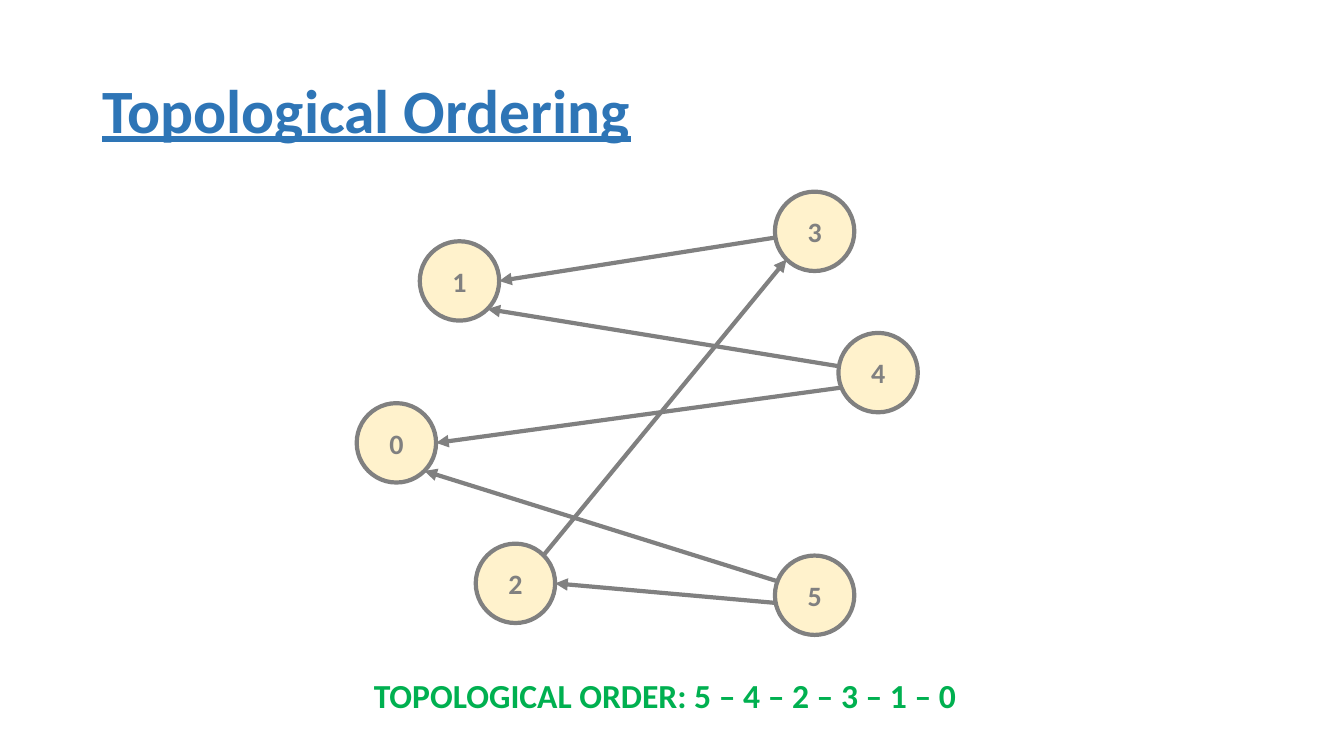
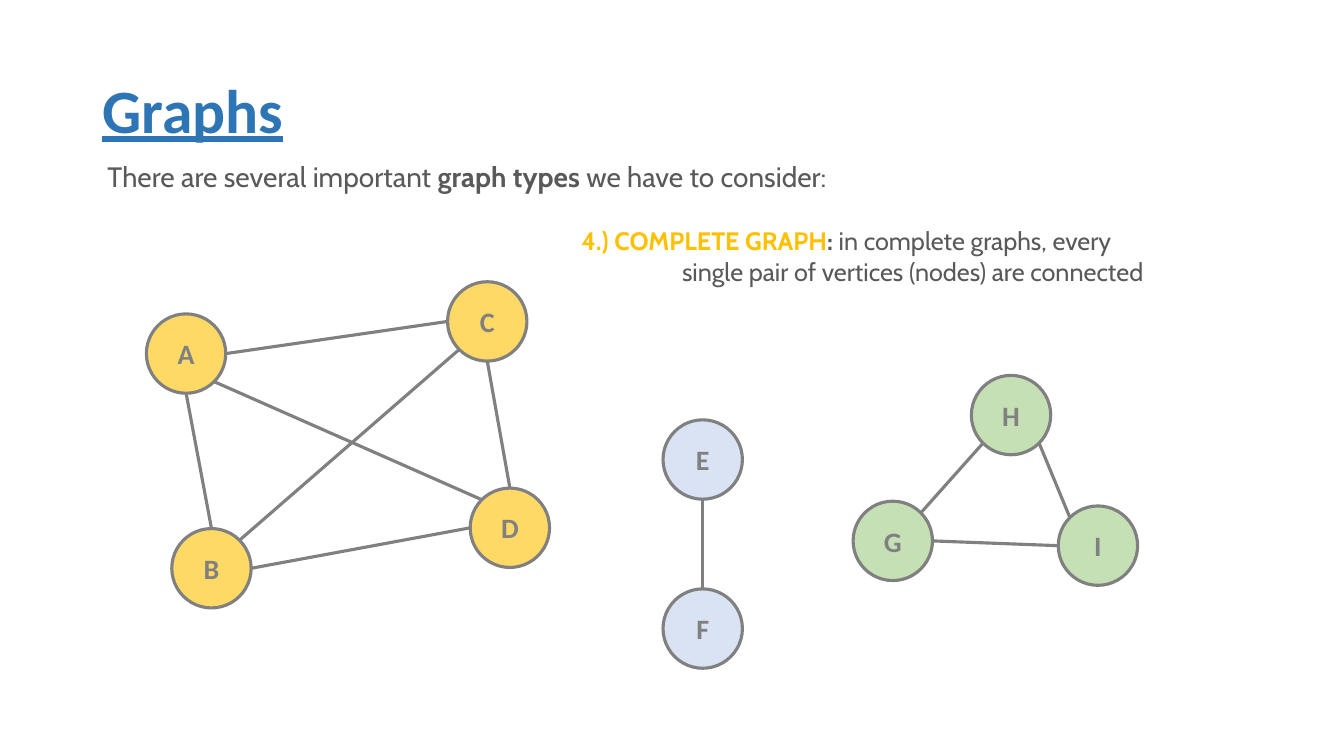
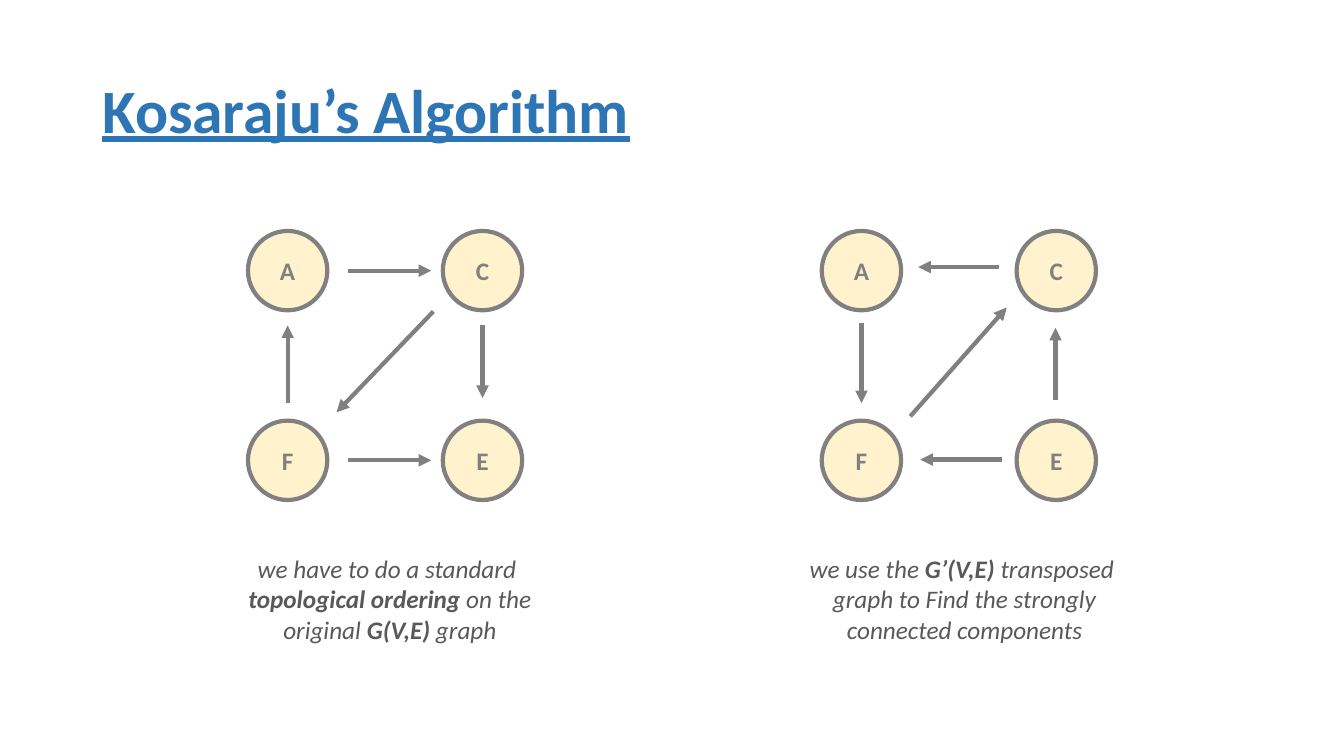
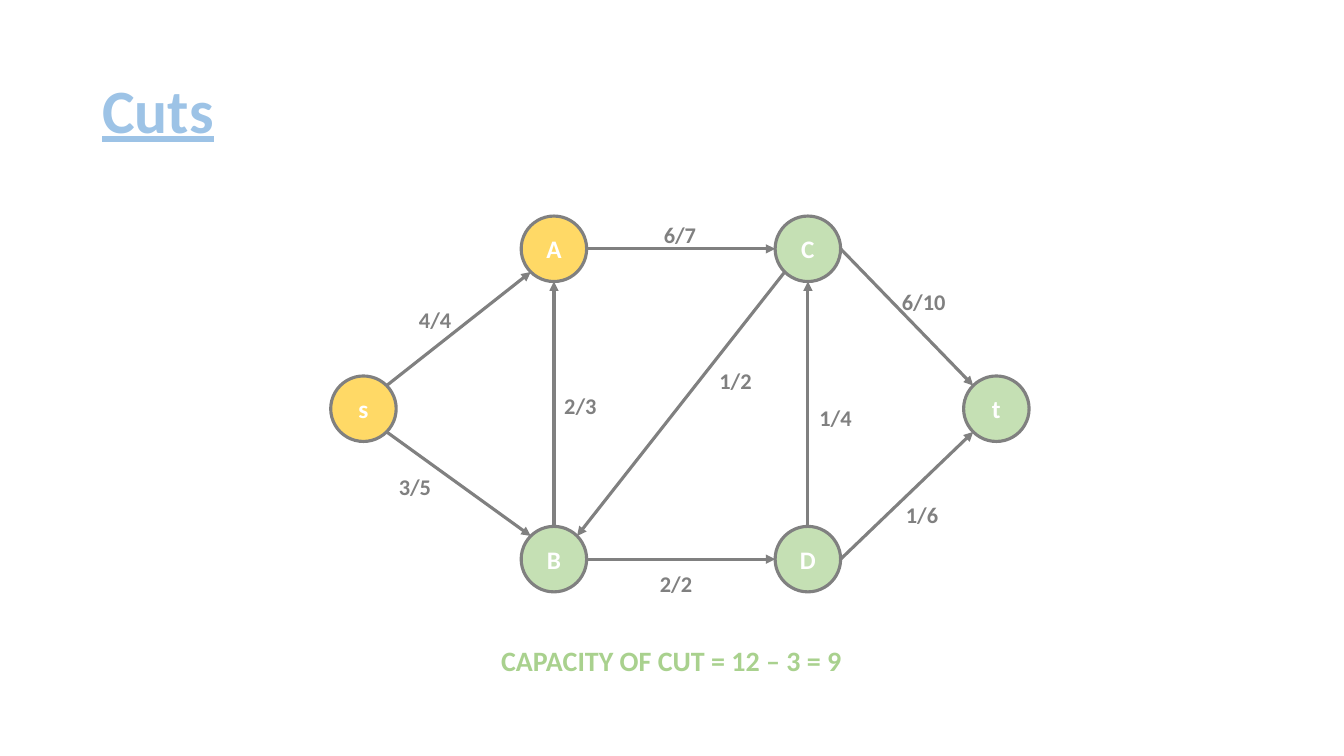
import math
from dataclasses import dataclass
from typing import Optional

import lxml.etree
import pptx
import pptx.dml.color
import pptx.enum.shapes
import pptx.enum.text
import pptx.oxml.ns
import pptx.presentation
import pptx.slide
import pptx.text.text
import pptx.util

GRAY = "808080"
BODY = "595959"
BLUE = "2E75B6"
LIGHT_BLUE = "9DC3E6"
CREAM = "FFF2CC"
YELLOW = "FFD966"
AMBER = "FFC000"
GREEN = "C5E0B4"
PALE_BLUE = "DAE3F3"
WHITE = "FFFFFF"

SITE_ANGLES = {"e": 0, "se": 45, "s": 90, "sw": 135, "w": 180, "nw": 225, "n": 270, "ne": 315}


@dataclass(frozen=True)
class Point:
    x: float
    y: float


@dataclass(frozen=True)
class Box:
    left: float
    top: float
    width: float
    height: float


@dataclass(frozen=True)
class Node:
    label: str
    x: float
    y: float
    fill: str = CREAM

    def site(self, name: str, diameter: float) -> Point:
        if name == "c":
            return Point(self.x, self.y)
        angle = math.radians(SITE_ANGLES[name])
        return Point(self.x + diameter / 2 * math.cos(angle), self.y + diameter / 2 * math.sin(angle))


@dataclass(frozen=True)
class Edge:
    start: str
    start_site: str
    end: str
    end_site: str
    start_drop: float = 0


@dataclass(frozen=True)
class GraphStyle:
    diameter: float
    line_width: float
    font_size: float
    font_color: str = GRAY
    arrows: bool = True


@dataclass(frozen=True)
class Span:
    text: str
    bold: bool = False
    color: Optional[str] = None


@dataclass(frozen=True)
class TextStyle:
    size: float
    color: str
    font: str = "Calibri"
    italic: bool = False
    underline: bool = False
    centered: bool = False


def rgb(color: str) -> pptx.dml.color.RGBColor:
    return pptx.dml.color.RGBColor.from_string(color)


def cm(length: float) -> pptx.util.Length:
    return pptx.util.Cm(length)


def format_run(run: pptx.text.text._Run, style: TextStyle, span: Span) -> None:
    run.font.name = style.font
    run.font.size = pptx.util.Pt(style.size)
    run.font.bold = span.bold
    run.font.italic = style.italic
    run.font.underline = style.underline
    run.font.color.rgb = rgb(span.color or style.color)


def add_text(
    slide: pptx.slide.Slide, box: Box, lines: list[list[Span]], style: TextStyle
) -> pptx.text.text.TextFrame:
    frame = slide.shapes.add_textbox(cm(box.left), cm(box.top), cm(box.width), cm(box.height)).text_frame
    frame.word_wrap = False
    frame.auto_size = pptx.enum.text.MSO_AUTO_SIZE.SHAPE_TO_FIT_TEXT
    for index, line in enumerate(lines):
        paragraph = frame.add_paragraph() if index else frame.paragraphs[0]
        if style.centered:
            paragraph.alignment = pptx.enum.text.PP_ALIGN.CENTER
        for span in line:
            run = paragraph.add_run()
            run.text = span.text
            format_run(run, style, span)
    return frame


def add_titled_slide(
    deck: pptx.presentation.Presentation, title: str, color: str = BLUE
) -> pptx.slide.Slide:
    slide = deck.slides.add_slide(deck.slide_layouts[6])
    frame = add_text(
        slide, Box(2.33, 1.01, 29.21, 3.68), [[Span(title, True)]], TextStyle(44, color, underline=True)
    )
    frame.word_wrap = True
    frame.auto_size = pptx.enum.text.MSO_AUTO_SIZE.NONE
    frame.vertical_anchor = pptx.enum.text.MSO_ANCHOR.MIDDLE
    frame.paragraphs[0].line_spacing = 0.9
    return slide


def add_line(slide: pptx.slide.Slide, start: Point, end: Point, style: GraphStyle) -> None:
    connector = slide.shapes.add_connector(
        pptx.enum.shapes.MSO_CONNECTOR.STRAIGHT, cm(start.x), cm(start.y), cm(end.x), cm(end.y)
    )
    connector.line.color.rgb = rgb(GRAY)
    connector.line.width = pptx.util.Pt(style.line_width)
    properties = connector._element.spPr
    if style.arrows:
        outline = properties.find(pptx.oxml.ns.qn("a:ln"))
        lxml.etree.SubElement(outline, pptx.oxml.ns.qn("a:tailEnd"), type="triangle")
    lxml.etree.SubElement(properties, pptx.oxml.ns.qn("a:effectLst"))


def add_node(slide: pptx.slide.Slide, node: Node, style: GraphStyle) -> None:
    radius = style.diameter / 2
    circle = slide.shapes.add_shape(
        pptx.enum.shapes.MSO_SHAPE.OVAL,
        cm(node.x - radius), cm(node.y - radius), cm(style.diameter), cm(style.diameter),
    )
    circle.shadow.inherit = False
    circle.fill.solid()
    circle.fill.fore_color.rgb = rgb(node.fill)
    circle.line.color.rgb = rgb(GRAY)
    circle.line.width = pptx.util.Pt(style.line_width)
    frame = circle.text_frame
    frame.text = node.label
    frame.vertical_anchor = pptx.enum.text.MSO_ANCHOR.MIDDLE
    frame.paragraphs[0].alignment = pptx.enum.text.PP_ALIGN.CENTER
    format_run(
        frame.paragraphs[0].runs[0], TextStyle(style.font_size, style.font_color), Span(node.label, True)
    )


def add_graph(slide: pptx.slide.Slide, nodes: list[Node], edges: list[Edge], style: GraphStyle) -> None:
    by_label = {node.label: node for node in nodes}
    for edge in edges:
        start = by_label[edge.start].site(edge.start_site, style.diameter)
        end = by_label[edge.end].site(edge.end_site, style.diameter)
        add_line(slide, Point(start.x, start.y + edge.start_drop), end, style)
    for node in nodes:
        add_node(slide, node, style)


def build_topological_ordering(deck: pptx.presentation.Presentation) -> None:
    slide = add_titled_slide(deck, "Topological Ordering")
    nodes = [
        Node("0", 9.99, 11.16), Node("1", 11.58, 7.08), Node("2", 12.99, 14.7),
        Node("3", 20.53, 5.83), Node("4", 22.13, 9.39), Node("5", 20.53, 15),
    ]
    edges = [
        Edge("5", "c", "2", "e", 0.28), Edge("5", "c", "0", "se", -0.06),
        Edge("4", "c", "0", "e", 0.25), Edge("4", "c", "1", "se"),
        Edge("3", "c", "1", "e"), Edge("2", "ne", "3", "sw"),
    ]
    add_graph(slide, nodes, edges, GraphStyle(2, 3, 20))
    add_text(
        slide, Box(9.17, 16.89, 15.49, 1.27),
        [[Span("TOPOLOGICAL ORDER: 5 – 4 – 2 – 3 – 1 – 0", True)]], TextStyle(24, "00B050"),
    )


def build_complete_graphs(deck: pptx.presentation.Presentation) -> None:
    slide = add_titled_slide(deck, "Graphs")
    add_text(
        slide, Box(2.46, 3.89, 20.42, 1.12),
        [[Span("There are several important "), Span("graph types ", True), Span("we have to consider:")]],
        TextStyle(20, BODY, "Cabin"),
    )
    definition = add_text(
        slide, Box(14.4, 5.56, 15.93, 2.57),
        [
            [Span("4.) COMPLETE GRAPH", True, AMBER), Span(": ", True), Span("in complete graphs, every")],
            [Span("single pair of vertices (nodes) are connected")],
        ],
        TextStyle(18, BODY, "Cabin"),
    )
    definition.paragraphs[1]._p.get_or_add_pPr().set("marL", str(cm(2.54)))
    nodes = [
        Node("A", 4.69, 8.91, YELLOW), Node("B", 5.33, 14.32, YELLOW),
        Node("C", 12.28, 8.1, YELLOW), Node("D", 12.85, 13.3, YELLOW),
        Node("E", 17.71, 11.58, PALE_BLUE), Node("F", 17.71, 15.84, PALE_BLUE),
        Node("G", 22.5, 13.63, GREEN), Node("H", 25.48, 10.46, GREEN), Node("I", 27.67, 13.75, GREEN),
    ]
    edges = [
        Edge("A", "e", "C", "w"), Edge("A", "s", "B", "n"), Edge("A", "se", "D", "nw"),
        Edge("B", "ne", "C", "sw"), Edge("B", "e", "D", "w"), Edge("D", "n", "C", "s"),
        Edge("F", "n", "E", "s"), Edge("G", "ne", "H", "sw"), Edge("G", "e", "I", "w"),
        Edge("I", "nw", "H", "se"),
    ]
    add_graph(slide, nodes, edges, GraphStyle(2, 2.25, 20, arrows=False))


def build_kosaraju(deck: pptx.presentation.Presentation) -> None:
    slide = add_titled_slide(deck, "Kosaraju’s Algorithm")
    style = GraphStyle(2, 3, 18)
    left, right, top, bottom = 7.25, 12.16, 6.82, 11.6
    for shift in (0, 14.46):
        corners = [
            Node("A", left + shift, top), Node("C", right + shift, top),
            Node("F", left + shift, bottom), Node("E", right + shift, bottom),
        ]
        add_graph(slide, corners, [], style)
    arrows = [
        (Point(7.25, 10.16), Point(7.25, 8.2)),
        (Point(12.16, 8.2), Point(12.16, 10.03)),
        (Point(10.92, 7.85), Point(8.48, 10.39)),
        (Point(8.76, 6.82), Point(10.87, 6.82)),
        (Point(8.76, 11.6), Point(10.87, 11.6)),
        (Point(21.71, 8.15), Point(21.71, 10.16)),
        (Point(26.6, 10.08), Point(26.6, 8.26)),
        (Point(22.94, 10.49), Point(25.37, 7.75)),
        (Point(25.17, 6.73), Point(23.14, 6.73)),
        (Point(25.25, 11.58), Point(23.19, 11.58)),
    ]
    for start, end in arrows:
        add_line(slide, start, end, style)
    caption = TextStyle(18, BODY, italic=True, centered=True)
    add_text(
        slide, Box(5.89, 13.82, 7.87, 2.57),
        [
            [Span("we have to do a standard ")],
            [Span("topological ordering", True), Span(" on the")],
            [Span("original "), Span("G(V,E)", True), Span(" graph")],
        ],
        caption,
    )
    add_text(
        slide, Box(20.12, 13.82, 8.38, 2.57),
        [
            [Span("we use the "), Span("G’(V,E) ", True), Span("transposed ")],
            [Span("graph to Find the strongly")],
            [Span("connected components")],
        ],
        caption,
    )


def build_cuts(deck: pptx.presentation.Presentation) -> None:
    slide = add_titled_slide(deck, "Cuts", LIGHT_BLUE)
    top, middle, bottom = 6.27, 10.3, 14.09
    nodes = [
        Node("s", 9.16, middle, YELLOW), Node("A", 13.96, top, YELLOW),
        Node("B", 13.96, bottom, GREEN), Node("C", 20.36, top, GREEN),
        Node("D", 20.36, bottom, GREEN), Node("t", 25.11, middle, GREEN),
    ]
    edges = [
        Edge("s", "ne", "A", "sw"), Edge("s", "se", "B", "nw"), Edge("B", "n", "A", "s"),
        Edge("B", "e", "D", "w"), Edge("A", "e", "C", "w"), Edge("C", "sw", "B", "ne"),
        Edge("D", "n", "C", "s"), Edge("D", "e", "t", "sw"), Edge("C", "e", "t", "nw"),
    ]
    add_graph(slide, nodes, edges, GraphStyle(1.65, 2.25, 18, WHITE))
    flows = [
        ("4/4", Point(10.31, 7.59)), ("3/5", Point(9.8, 11.81)), ("2/2", Point(16.38, 14.25)),
        ("6/7", Point(16.48, 5.46)), ("6/10", Point(22.48, 7.14)), ("1/4", Point(20.4, 10.06)),
        ("1/6", Point(22.58, 12.5)), ("2/3", Point(13.97, 9.75)), ("1/2", Point(17.88, 9.12)),
    ]
    for flow, corner in flows:
        width = 1.35 if len(flow) == 3 else 1.63
        add_text(slide, Box(corner.x, corner.y, width, 0.94), [[Span(flow, True)]], TextStyle(16, GRAY))
    add_text(
        slide, Box(12.34, 16.08, 9.17, 1.12),
        [[Span("CAPACITY OF CUT = 12 – 3 = 9", True)]], TextStyle(20, "A9D18E", centered=True),
    )


def main() -> None:
    deck = pptx.Presentation()
    deck.slide_width = cm(33.87)
    deck.slide_height = cm(19.05)
    build_topological_ordering(deck)
    build_complete_graphs(deck)
    build_kosaraju(deck)
    build_cuts(deck)
    deck.save("out.pptx")


if __name__ == "__main__":
    main()
